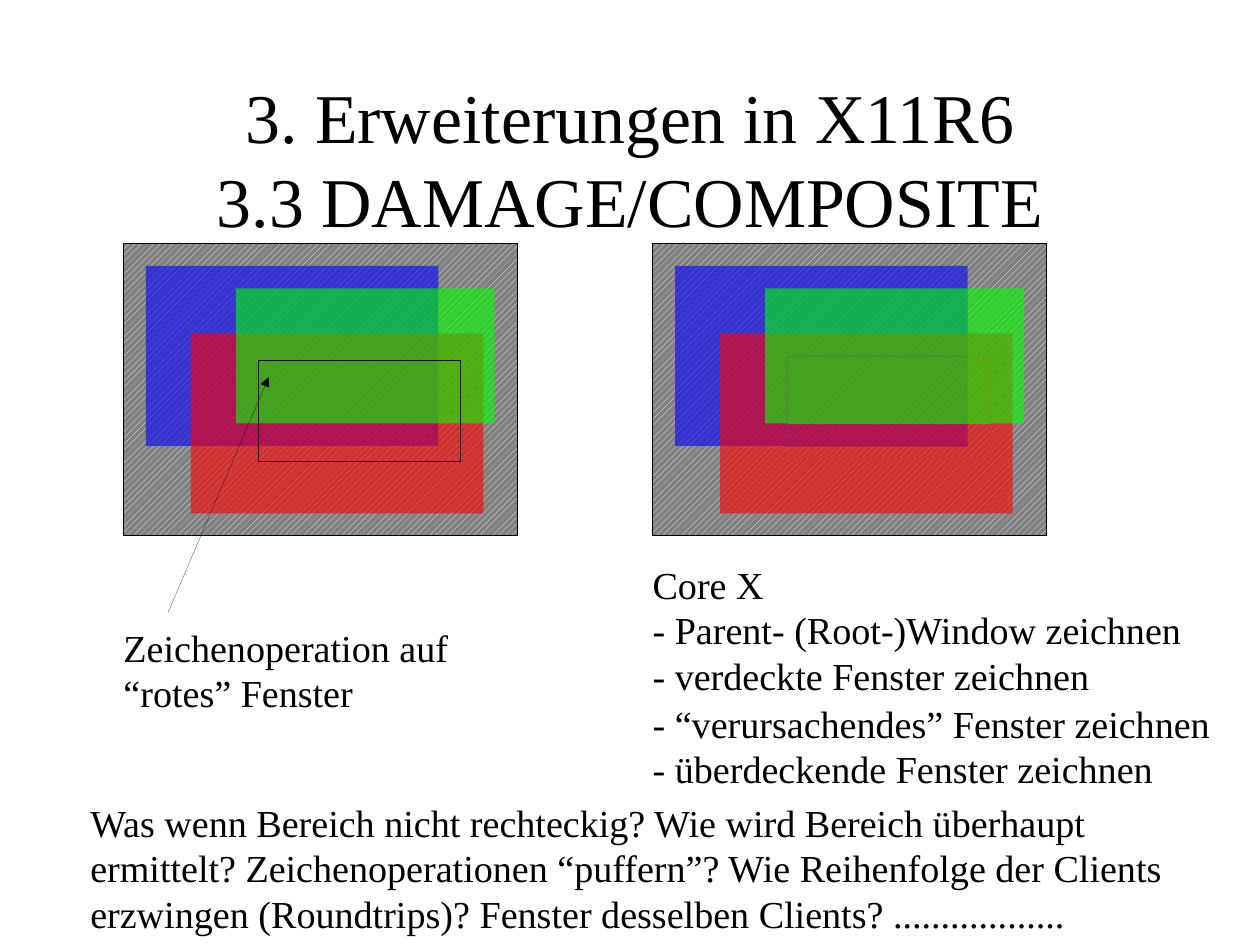
from lxml.etree import SubElement
from pptx import Presentation
from pptx.dml.color import RGBColor
from pptx.enum.dml import MSO_PATTERN
from pptx.enum.shapes import MSO_CONNECTOR, MSO_SHAPE
from pptx.enum.text import MSO_ANCHOR, MSO_AUTO_SIZE, PP_ALIGN
from pptx.oxml.ns import qn
from pptx.util import Cm, Inches, Pt

BLACK = RGBColor(0, 0, 0)
WHITE = RGBColor(255, 255, 255)
GREY = RGBColor(128, 128, 128)
BLUE = RGBColor(0, 0, 255)
RED = RGBColor(255, 0, 0)
GREEN = RGBColor(0, 255, 0)

FONT = "Times New Roman"
WINDOW_OPACITY = 60
UNIT = 0.5 / 2.54
LEFT_SCREEN, RIGHT_SCREEN, SCREEN_TOP = 1.08, 5.71, 2.13
SCREEN_SIZE = (17.5 * UNIT, 13 * UNIT)
AREA_SIZE = (9 * UNIT, 4.5 * UNIT)
WINDOWS = [
    (BLUE, 1, 1, 13, 8),
    (RED, 3, 4, 13, 8),
    (GREEN, 5, 2, 11.5, 6),
]
STEPS = [
    ("Core X", 4.91, 0.97),
    ("- Parent- (Root-)Window zeichnen", 5.31, 4.64),
    ("- verdeckte Fenster zeichnen", 5.71, 3.83),
    ("- “verursachendes” Fenster zeichnen", 6.13, 4.89),
    ("- überdeckende Fenster zeichnen", 6.52, 4.39),
]
QUESTIONS = (
    "Was wenn Bereich nicht rechteckig? Wie wird Bereich überhaupt "
    "ermittelt? Zeichenoperationen “puffern”? Wie Reihenfolge der Clients "
    "erzwingen (Roundtrips)? Fenster desselben Clients? .................."
)


def set_alpha(color_element, percent):
    SubElement(color_element, qn("a:alpha"), val=str(percent * 1000))


def set_hairline(shape):
    shape.line.color.rgb = BLACK
    line_element = shape.line._get_or_add_ln()
    line_element.set("w", "0")
    return line_element


def write_text(shape, text, size=24, align=PP_ALIGN.LEFT,
               anchor=MSO_ANCHOR.TOP, wrap=True):
    frame = shape.text_frame
    frame.margin_left = frame.margin_right = 0
    frame.margin_top = frame.margin_bottom = 0
    frame.auto_size = MSO_AUTO_SIZE.NONE
    frame.word_wrap = wrap
    frame.vertical_anchor = anchor
    paragraph = frame.paragraphs[0]
    paragraph.text = text
    paragraph.alignment = align
    for run in paragraph.runs:
        run.font.name = FONT
        run.font.size = Pt(size)
        run.font.color.rgb = BLACK


def add_text(slide, text, left, top, width, height, **text_format):
    box = slide.shapes.add_textbox(
        Inches(left), Inches(top), Inches(width), Inches(height))
    write_text(box, text, **text_format)


def add_title(slide, text):
    title = slide.shapes.title
    title.left, title.top = Inches(0.81), Inches(0.69)
    title.width, title.height = Inches(9.41), Inches(1.38)
    write_text(title, text, size=44, align=PP_ALIGN.CENTER,
               anchor=MSO_ANCHOR.MIDDLE)


def add_rectangle(slide, left, top, width, height,
                  fill=None, opacity=100, outlined=False):
    shape = slide.shapes.add_shape(
        MSO_SHAPE.RECTANGLE, Inches(left), Inches(top),
        Inches(width), Inches(height))
    shape.shadow.inherit = False
    if fill is None:
        shape.fill.background()
    else:
        shape.fill.solid()
        shape.fill.fore_color.rgb = fill
        if opacity < 100:
            set_alpha(shape._element.spPr.find(".//" + qn("a:srgbClr")), opacity)
    if outlined:
        set_hairline(shape)
    else:
        shape.line.fill.background()
    return shape


def add_hatched_background(slide, left, top, width, height, outlined=False):
    add_rectangle(slide, left, top, width, height, GREY, outlined=outlined)
    hatch = add_rectangle(slide, left, top, width, height, outlined=outlined)
    hatch.fill.patterned()
    hatch.fill.pattern = MSO_PATTERN.WIDE_UPWARD_DIAGONAL
    hatch.fill.fore_color.rgb = WHITE
    hatch.fill.back_color.rgb = WHITE
    set_alpha(hatch._element.spPr.find(".//" + qn("a:bgClr"))[0], 0)


def add_screen(slide, left):
    add_hatched_background(slide, left, SCREEN_TOP, *SCREEN_SIZE, outlined=True)
    for color, column, row, columns, rows in WINDOWS:
        add_rectangle(slide, left + column * UNIT, SCREEN_TOP + row * UNIT,
                      columns * UNIT, rows * UNIT, color, WINDOW_OPACITY)


def add_arrow(slide, start, end):
    arrow = slide.shapes.add_connector(
        MSO_CONNECTOR.STRAIGHT, *map(Inches, start + end))
    SubElement(set_hairline(arrow), qn("a:tailEnd"), type="triangle")
    SubElement(arrow._element.spPr, qn("a:effectLst"))


def add_drawing_operation(slide):
    add_screen(slide, LEFT_SCREEN)
    add_arrow(slide, (1.47, 5.36), (2.35, 3.3))
    add_text(slide, "Zeichenoperation auf\v“rotes” Fenster",
             LEFT_SCREEN, 5.46, 2.85, 0.74, wrap=False)
    add_rectangle(slide, LEFT_SCREEN + 6 * UNIT, 3.15, *AREA_SIZE, outlined=True)


def add_redrawn_area(slide):
    left, top = RIGHT_SCREEN + 6 * UNIT, 3.12
    add_screen(slide, RIGHT_SCREEN)
    add_hatched_background(slide, left, top, *AREA_SIZE)
    for color, columns, rows in [(BLUE, 8, 4), (RED, 9, 4.5), (GREEN, 9, 3)]:
        add_rectangle(slide, left, top, columns * UNIT, rows * UNIT,
                      color, WINDOW_OPACITY)
    for text, text_top, width in STEPS:
        add_text(slide, text, RIGHT_SCREEN, text_top, width, 0.37, wrap=False)


def main():
    presentation = Presentation()
    presentation.slide_width = Cm(28)
    presentation.slide_height = Cm(21)
    slide = presentation.slides.add_slide(presentation.slide_layouts[5])
    add_title(slide, "3. Erweiterungen in X11R6\v3.3 DAMAGE/COMPOSITE")
    add_drawing_operation(slide)
    add_redrawn_area(slide)
    add_text(slide, QUESTIONS, 0.79, 6.99, 9.94, 1.08)
    presentation.save("out.pptx")


if __name__ == "__main__":
    main()
